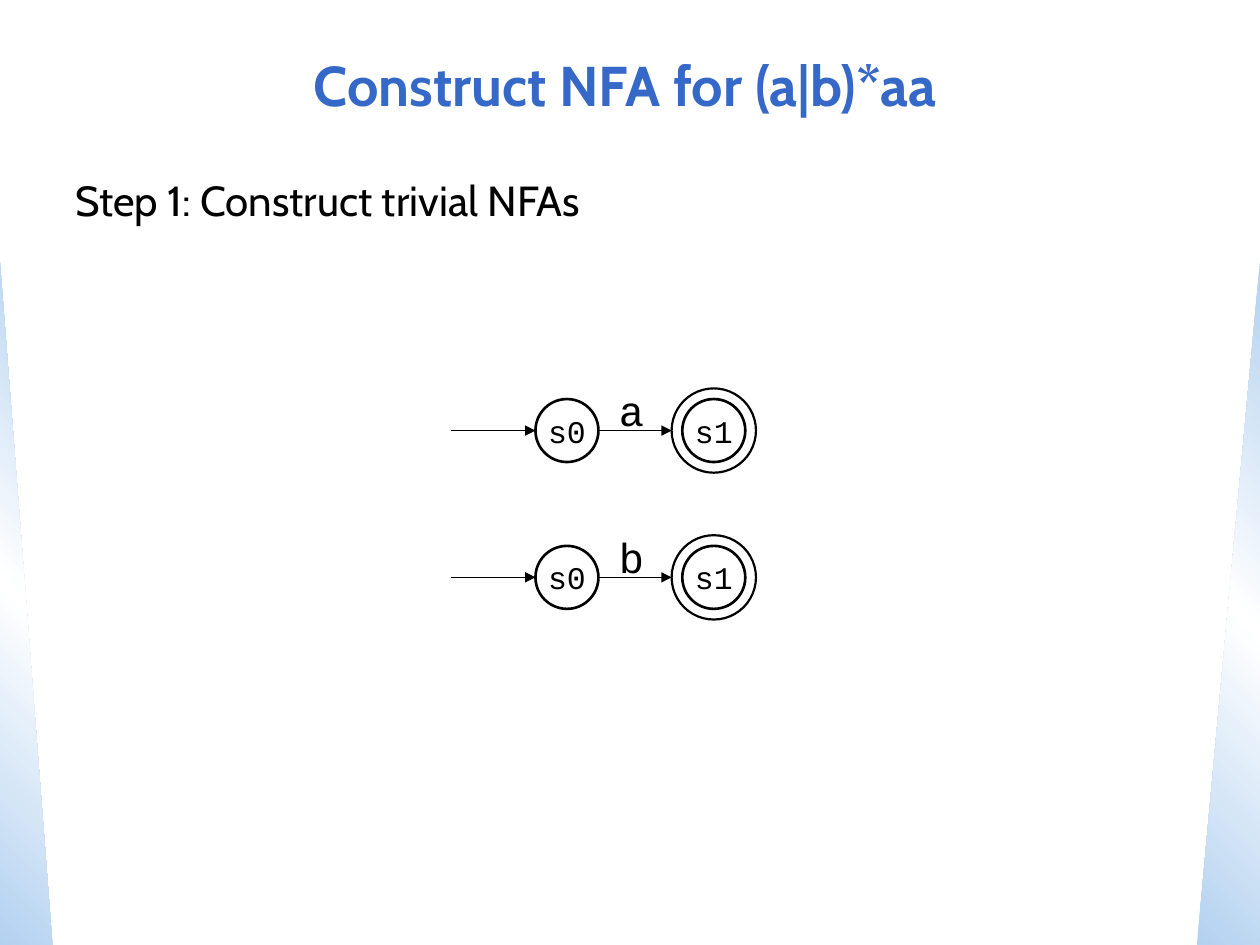
from lxml import etree
from pptx import Presentation
from pptx.dml.color import RGBColor
from pptx.enum.shapes import MSO_CONNECTOR as Link, MSO_SHAPE as Shape
from pptx.enum.text import MSO_ANCHOR as Anchor, MSO_AUTO_SIZE as AutoSize, PP_ALIGN as Align
from pptx.oxml import parse_xml
from pptx.oxml.ns import nsdecls, qn
from pptx.util import Cm, Pt

BLACK, BLUE, PALE, WHITE = "000000", "3568C7", "B3D1F0", "FFFFFF"
BODY_FONT, CODE_FONT = "Cabin", "Courier New"


def color(value):
    """Turn a hex string into a colour."""
    return RGBColor.from_string(value)


def write(frame, text, size, font, hue=BLACK, bold=False, align=Align.LEFT, anchor=Anchor.TOP):
    """Put one formatted paragraph into a text frame."""
    frame.text = text
    frame.auto_size = AutoSize.NONE
    frame.vertical_anchor = anchor
    para = frame.paragraphs[0]
    para.alignment = align
    span = para.runs[0].font
    span.size, span.name, span.bold = Pt(size), font, bold
    span.color.rgb = color(hue)


def add_edge(page, left, top, width, height, angle, flipped=False):
    """Draw one gradient triangle along a side of the page."""
    edge = page.shapes.add_shape(Shape.RIGHT_TRIANGLE, Cm(left), Cm(top), Cm(width), Cm(height))
    edge.shadow.inherit = False
    edge.line.fill.background()
    stops = "".join(
        f'<a:gs pos="{place * 1000}"><a:srgbClr val="{hue}"/></a:gs>'
        for place, hue in ((0, PALE), (50, WHITE), (100, PALE))
    )
    gradient = parse_xml(
        f'<a:gradFill rotWithShape="1" {nsdecls("a")}><a:gsLst>{stops}</a:gsLst>'
        f'<a:lin ang="{angle * 60000}" scaled="1"/></a:gradFill>'
    )
    properties = edge.element.spPr
    properties.find(qn("a:prstGeom")).addnext(gradient)
    if flipped:
        properties.find(qn("a:xfrm")).set("flipH", "1")


def add_title(page, left, top, width, height, text):
    """Place and format the title placeholder."""
    title = page.shapes.title
    title.left, title.top, title.width, title.height = Cm(left), Cm(top), Cm(width), Cm(height)
    write(title.text_frame, text, 32, BODY_FONT, BLUE, True, Align.CENTER, Anchor.MIDDLE)


def add_text(shapes, left, top, width, height, text, size, font, align=Align.LEFT):
    """Add a wrapping text box."""
    box = shapes.add_textbox(Cm(left), Cm(top), Cm(width), Cm(height))
    box.text_frame.word_wrap = True
    write(box.text_frame, text, size, font, align=align)


def add_circle(shapes, x, y, diameter, weight, text=None):
    """Draw an outlined circle around a centre, with an optional state name."""
    corner = x - diameter / 2, y - diameter / 2
    circle = shapes.add_shape(Shape.OVAL, Cm(corner[0]), Cm(corner[1]), Cm(diameter), Cm(diameter))
    circle.shadow.inherit = False
    circle.fill.background()
    circle.line.color.rgb = color(BLACK)
    circle.line.width = Pt(weight)
    if text:
        frame = circle.text_frame
        frame.word_wrap = False
        frame.margin_left = frame.margin_right = frame.margin_top = frame.margin_bottom = 0
        write(frame, text, 18, CODE_FONT, align=Align.CENTER, anchor=Anchor.MIDDLE)


def add_arrow(shapes, start, end, y):
    """Draw a horizontal arrow."""
    arrow = shapes.add_connector(Link.STRAIGHT, Cm(start), Cm(y), Cm(end), Cm(y))
    arrow.line.color.rgb = color(BLACK)
    arrow.line.width = Pt(0.75)
    etree.SubElement(arrow.line._get_or_add_ln(), qn("a:tailEnd"), type="triangle")
    etree.SubElement(arrow.element.spPr, qn("a:effectLst"))


def add_automaton(page, left, top, symbol):
    """Draw a two-state NFA that accepts a single symbol."""
    shapes = page.shapes.add_group_shape().shapes
    state, ring = 1.27, 1.7
    first, last, middle = left + 2.33, left + 5.29, top + ring / 2
    add_circle(shapes, first, middle, state, 1.5, "s0")
    add_circle(shapes, last, middle, state, 1.5, "s1")
    add_circle(shapes, last, middle, ring, 1.25)
    add_arrow(shapes, left, first - state / 2, middle)
    add_arrow(shapes, first + state / 2, last - ring / 2, middle)
    add_text(shapes, left + 3.12, top - 0.21, 1.02, 1.27, symbol, 24, CODE_FONT, Align.CENTER)


def main():
    """Build the slide and save it."""
    deck = Presentation()
    deck.slide_width, deck.slide_height = Cm(25.4), Cm(19.05)
    page = deck.slides.add_slide(deck.slide_layouts[5])
    add_edge(page, 0, 5.28, 1.06, 13.77, 135)
    add_edge(page, 24.13, 5.28, 1.27, 13.77, 225, flipped=True)
    add_title(page, 0.64, 0.64, 23.92, 2.12, "Construct NFA for (a|b)*aa")
    add_text(page.shapes, 1.27, 3.39, 22.86, 14.18, "Step 1: Construct trivial NFAs", 24, BODY_FONT)
    for row, symbol in enumerate("ab"):
        add_automaton(page, 9.1, 7.83 + row * 2.96, symbol)
    deck.save("out.pptx")


if __name__ == "__main__":
    main()
